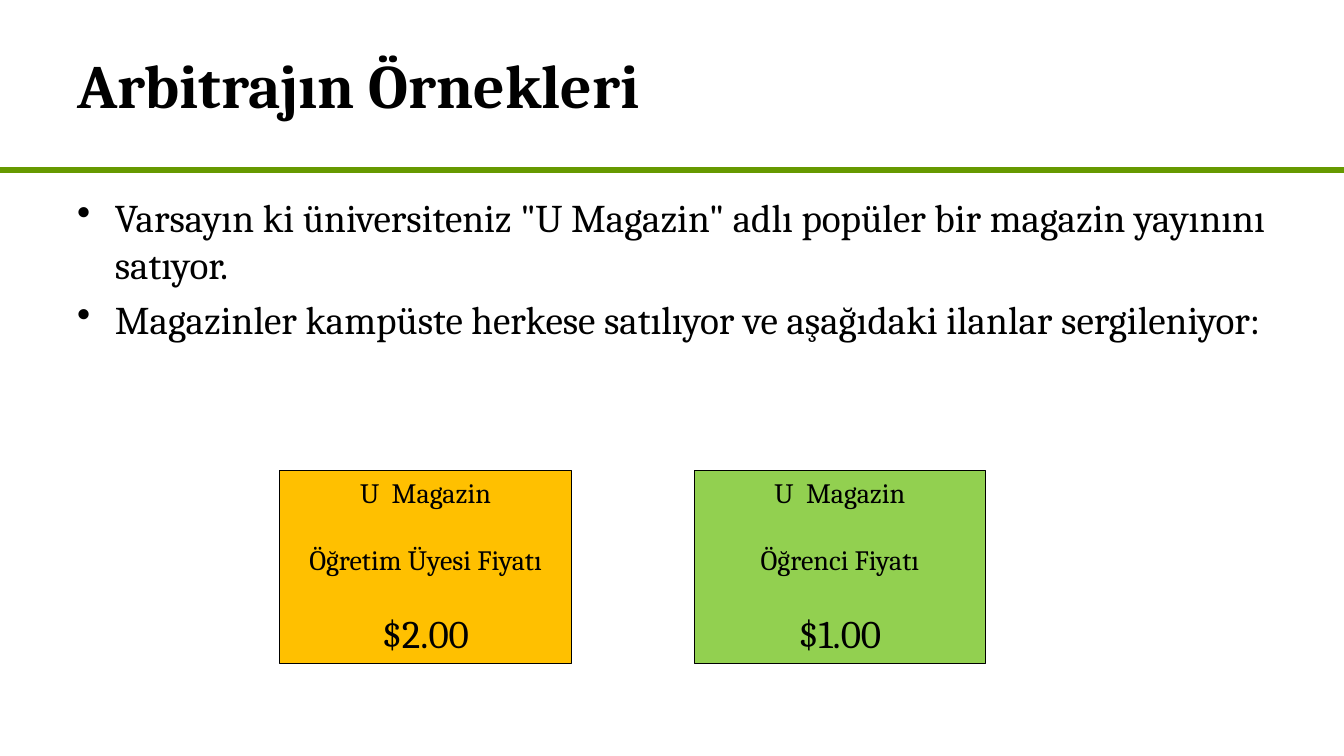
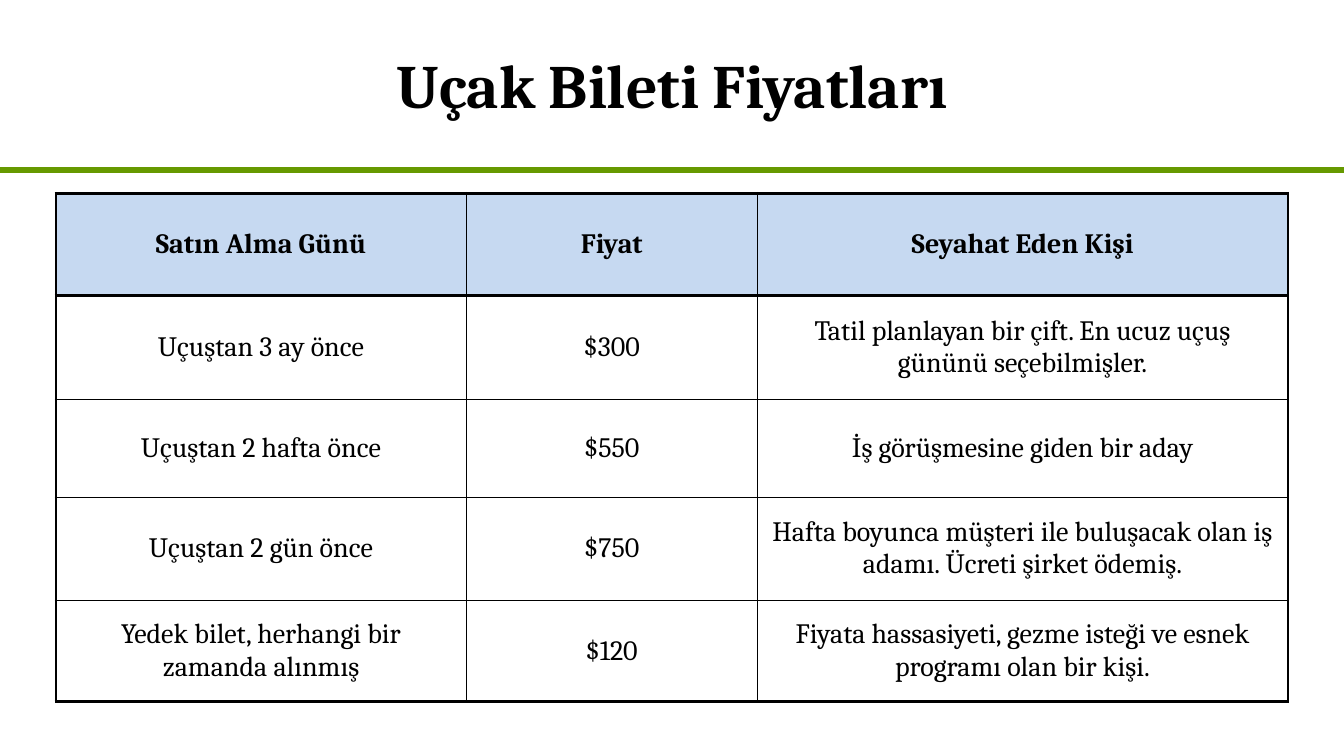
"""Build two slides on arbitrage: a price example and a table of ticket prices."""
from lxml.etree import SubElement as Sub
from pptx import Presentation
from pptx.dml.color import RGBColor as Rgb
from pptx.enum.shapes import MSO_CONNECTOR as Conn, MSO_SHAPE as Shape
from pptx.enum.text import MSO_ANCHOR as Anchor, MSO_AUTO_SIZE as Fit, PP_ALIGN as Align
from pptx.oxml.ns import qn
from pptx.util import Pt

INK = {"text": "000000", "rule": "669900", "gold": "FFC000",
       "green": "92D050", "head": "C6D9F1"}
FONT = "Cambria"


def tint(name):
    return Rgb.from_string(INK[name])


def write(frame, text, size=20, bold=False, align=Align.CENTER, before=0, bullet=False):
    para = frame.add_paragraph() if frame.text else frame.paragraphs[0]
    if bullet:
        props = para._p.get_or_add_pPr()
        props.set("marL", str(Pt(27)))
        props.set("indent", str(-Pt(27)))
        Sub(props, qn("a:buChar"), char="•")
    para.alignment = align
    para.space_before = Pt(before)
    run = para.add_run()
    run.text = text
    run.font.name, run.font.size, run.font.bold = FONT, Pt(size), bold
    run.font.color.rgb = tint("text")


deck = Presentation()
deck.slide_width, deck.slide_height = Pt(960), Pt(540)
titles = [("Arbitrajın Örnekleri", Align.LEFT), ("Uçak Bileti Fiyatları", Align.CENTER)]
for text, align in titles:
    slide = deck.slides.add_slide(deck.slide_layouts[5])
    rule = slide.shapes.add_connector(Conn.STRAIGHT, 0, Pt(121.5), Pt(960), Pt(121.5))
    rule.line.color.rgb, rule.line.width = tint("rule"), Pt(4.5)
    Sub(rule._element.spPr, qn("a:effectLst"))
    title = slide.shapes.title
    title.left, title.top, title.width, title.height = Pt(48), Pt(0), Pt(864), Pt(120)
    title.text_frame.auto_size = Fit.NONE
    title.text_frame.vertical_anchor = Anchor.MIDDLE
    write(title.text_frame, text, size=44, bold=True, align=align)

first, second = deck.slides

body = first.shapes.add_textbox(Pt(48), Pt(134.5), Pt(864), Pt(385)).text_frame
body.word_wrap = True
points = ['Varsayın ki üniversiteniz "U Magazin" adlı popüler bir magazin yayınını satıyor.',
          "Magazinler kampüste herkese satılıyor ve aşağıdaki ilanlar sergileniyor:"]
for num, text in enumerate(points):
    write(body, text, size=28, align=Align.LEFT, before=5.6 * num, bullet=True)

cards = [("gold", "Öğretim Üyesi Fiyatı", "$2.00"), ("green", "Öğrenci Fiyatı", "$1.00")]
for num, (fill, label, price) in enumerate(cards):
    card = first.shapes.add_shape(Shape.RECTANGLE, Pt(200 + 296 * num), Pt(336), Pt(208), Pt(138))
    card.shadow.inherit = False
    card.fill.solid()
    card.fill.fore_color.rgb = tint(fill)
    card.line.color.rgb, card.line.width = tint("text"), Pt(0.75)
    frame = card.text_frame
    frame.word_wrap, frame.vertical_anchor = True, Anchor.TOP
    write(frame, "U  Magazin")
    write(frame, label, before=24)
    write(frame, price, size=28, before=24)

rows = [
    ("Satın Alma Günü", "Fiyat", "Seyahat Eden Kişi"),
    ("Uçuştan 3 ay önce", "$300",
     "Tatil planlayan bir çift. En ucuz uçuş gününü seçebilmişler."),
    ("Uçuştan 2 hafta önce", "$550", "İş görüşmesine giden bir aday"),
    ("Uçuştan 2 gün önce", "$750",
     "Hafta boyunca müşteri ile buluşacak olan iş adamı. Ücreti şirket ödemiş."),
    ("Yedek bilet, herhangi bir zamanda alınmış", "$120",
     "Fiyata hassasiyeti, gezme isteği ve esnek programı olan bir kişi."),
]
wides = [293, 208, 379]
highs = [73, 74, 70, 74, 72]
table = second.shapes.add_table(len(rows), len(wides), Pt(40), Pt(138),
                                Pt(sum(wides)), Pt(sum(highs))).table
table.first_row = table.horz_banding = False
for col, wide in zip(table.columns, wides):
    col.width = Pt(wide)
for row, high in zip(table.rows, highs):
    row.height = Pt(high)

for r, texts in enumerate(rows):
    for c, text in enumerate(texts):
        cell = table.cell(r, c)
        cell.vertical_anchor = Anchor.MIDDLE
        cell.margin_left = cell.margin_right = Pt(7.2)
        cell.margin_top = cell.margin_bottom = 0
        thick = {"L": c == 0, "R": c == len(wides) - 1,
                 "T": r < 2, "B": r in (0, len(rows) - 1)}
        for side, heavy in thick.items():
            edge = Sub(cell._tc.get_or_add_tcPr(), qn("a:ln" + side),
                       w=str(Pt(2.25 if heavy else 0.25)))
            Sub(Sub(edge, qn("a:solidFill")), qn("a:srgbClr"), val=INK["text"])
        if r == 0:
            cell.fill.solid()
            cell.fill.fore_color.rgb = tint("head")
        else:
            cell.fill.background()
        write(cell.text_frame, text, bold=r == 0)

deck.save("out.pptx")
